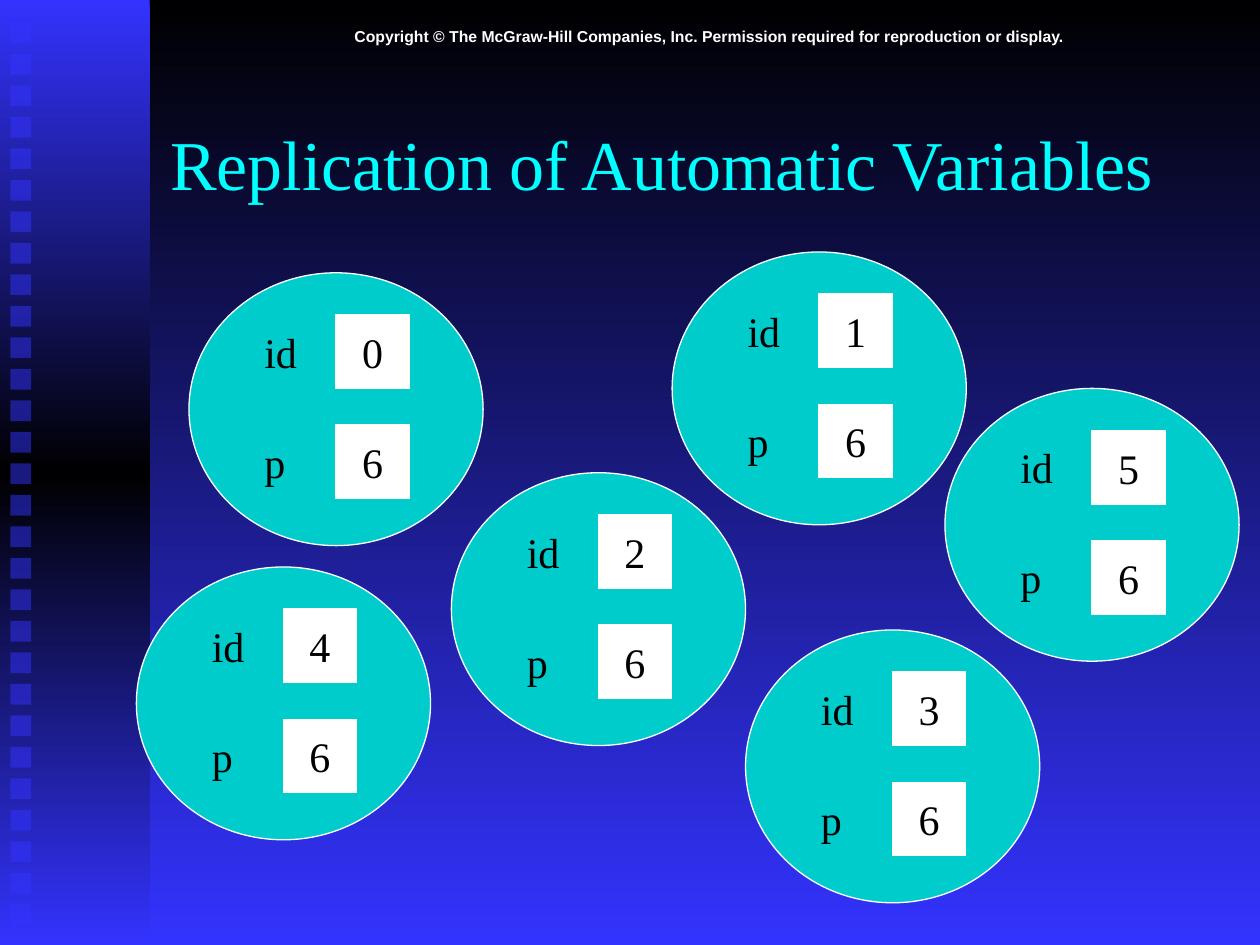
from copy import deepcopy

from lxml.etree import SubElement
from pptx import Presentation
from pptx.dml.color import RGBColor as RGB
from pptx.enum.shapes import MSO_SHAPE as Preset
from pptx.enum.text import MSO_ANCHOR as Anchor, PP_ALIGN as Align
from pptx.oxml.ns import qn
from pptx.util import Cm, Pt

COLORS = {
    "blue": "3333FF",
    "black": "000000",
    "white": "FFFFFF",
    "title": "00FFFF",
    "process": "00CCCC",
}
SERIF, SANS = "Times New Roman", "Arial"

# Left and top of each process, with its id, in centimetres
PROCESSES = [
    (3.81, 5.5, "0"),
    (2.75, 11.43, "4"),
    (9.1, 9.53, "2"),
    (13.55, 5.08, "1"),
    (19.05, 7.83, "5"),
    (15.03, 12.7, "3"),
]
SHARED_VALUE = "6"
PROCESS_WIDTH, PROCESS_HEIGHT = 5.93, 5.5
CELL_SIZE, ROW_PITCH = 1.48, 2.22
LABEL_WIDTHS = {"id": 1.17, "p": 0.91}

SQUARE_COUNT, SQUARE_SIZE = 29, 0.42
FIRST_SQUARE, LAST_SQUARE = 0.45, 18.23


class SlideBuilder:
    """Holds the colours and the slide being drawn."""

    def __init__(self, slide, colors):
        self.slide = slide
        self.colors = colors

    def rgb(self, name):
        return RGB.from_string(self.colors[name])

    def gradient(self, fill, owner, names):
        """Fill from top to bottom with evenly spaced colours."""
        fill.gradient()
        fill.gradient_angle = 270
        stop_list = owner.find(".//" + qn("a:gsLst"))
        while len(stop_list) < len(names):
            stop_list.append(deepcopy(stop_list[-1]))
        for index, (stop, name) in enumerate(zip(fill.gradient_stops, names)):
            stop.color.rgb = self.rgb(name)
            stop.position = index / (len(names) - 1)

    def background(self, names):
        self.gradient(self.slide.background.fill, self.slide.element, names)

    def shape(self, parent, preset, left, top, width, height, color, line=None):
        shape = parent.shapes.add_shape(
            preset, Cm(left), Cm(top), Cm(width), Cm(height))
        shape.shadow.inherit = False
        shape.fill.solid()
        shape.fill.fore_color.rgb = self.rgb(color)
        if line:
            shape.line.color.rgb = self.rgb(line)
            shape.line.width = Pt(0.75)
        else:
            shape.line.fill.background()
        return shape

    def set_text(self, shape, text, size, color, font=SERIF, bold=False,
                 align=Align.LEFT, anchor=Anchor.TOP, wrap=False):
        frame = shape.text_frame
        frame.text = text
        frame.word_wrap = wrap
        frame.vertical_anchor = anchor
        paragraph = frame.paragraphs[0]
        paragraph.alignment = align
        for run in paragraph.runs:
            run.font.name = font
            run.font.size = Pt(size)
            run.font.bold = bold
            run.font.color.rgb = self.rgb(color)

    def text(self, parent, text, left, top, width, height, size, color, **style):
        box = parent.shapes.add_textbox(
            Cm(left), Cm(top), Cm(width), Cm(height))
        self.set_text(box, text, size, color, **style)

    def side_band(self):
        group = self.slide.shapes.add_group_shape()
        band = self.shape(group, Preset.RECTANGLE, 0, 0, 3.02, 19.05, "blue")
        self.gradient(band.fill, band.element, ["blue", "black", "blue"])
        pitch = (LAST_SQUARE - FIRST_SQUARE) / (SQUARE_COUNT - 1)
        for index in range(SQUARE_COUNT):
            square = self.shape(
                group, Preset.RECTANGLE, 0.21, FIRST_SQUARE + index * pitch,
                SQUARE_SIZE, SQUARE_SIZE, "blue")
            color = square.element.spPr.find(
                qn("a:solidFill") + "/" + qn("a:srgbClr"))
            SubElement(color, qn("a:alpha"), val="50000")

    def process(self, left, top, process_id):
        group = self.slide.shapes.add_group_shape()
        self.shape(group, Preset.OVAL, left, top, PROCESS_WIDTH,
                   PROCESS_HEIGHT, "process", "white")
        variables = [("id", process_id), ("p", SHARED_VALUE)]
        for row, (name, value) in enumerate(variables):
            row_top = top + 0.85 + row * ROW_PITCH
            cell = self.shape(group, Preset.RECTANGLE, left + 2.96, row_top,
                              CELL_SIZE, CELL_SIZE, "white", "white")
            self.set_text(cell, value, 24, "black",
                          align=Align.CENTER, anchor=Anchor.MIDDLE)
            self.text(group, name, left + 1.27, row_top + 0.1,
                      LABEL_WIDTHS[name], 1.27, 24, "black")


def main():
    presentation = Presentation()
    presentation.slide_width, presentation.slide_height = Cm(25.4), Cm(19.05)
    slide = presentation.slides.add_slide(presentation.slide_layouts[6])
    builder = SlideBuilder(slide, COLORS)

    # Backdrop
    builder.background(["black", "blue"])
    builder.side_band()

    # Copyright line and title
    builder.text(
        slide,
        "Copyright © The McGraw-Hill Companies, Inc. "
        "Permission required for reproduction or display.",
        3.18, 0.42, 22.22, 0.64, 9, "white",
        font=SANS, bold=True, align=Align.CENTER, wrap=True)
    builder.text(slide, "Replication of Automatic Variables",
                 3.18, 1.69, 21.59, 3.18, 40, "title",
                 anchor=Anchor.MIDDLE, wrap=True)

    # Processes, each with its own variables
    for left, top, process_id in PROCESSES:
        builder.process(left, top, process_id)

    presentation.save("out.pptx")


if __name__ == "__main__":
    main()
